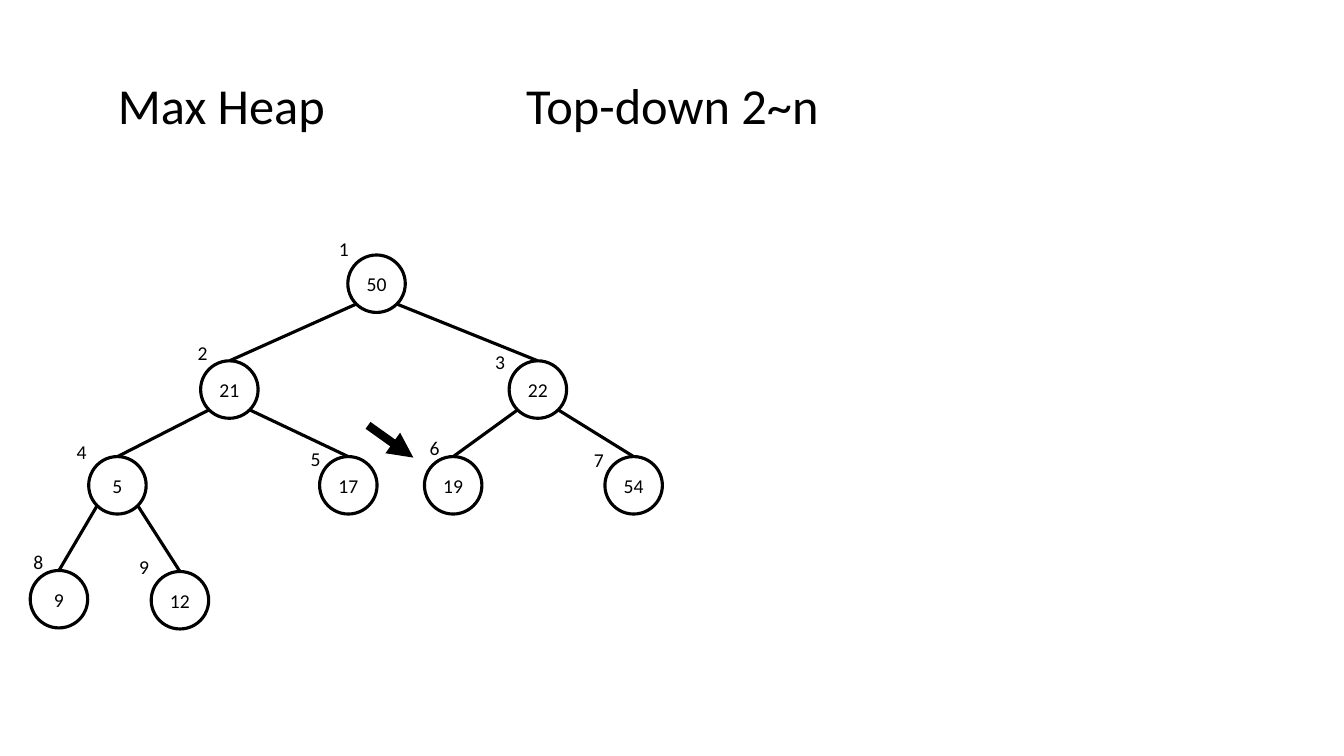
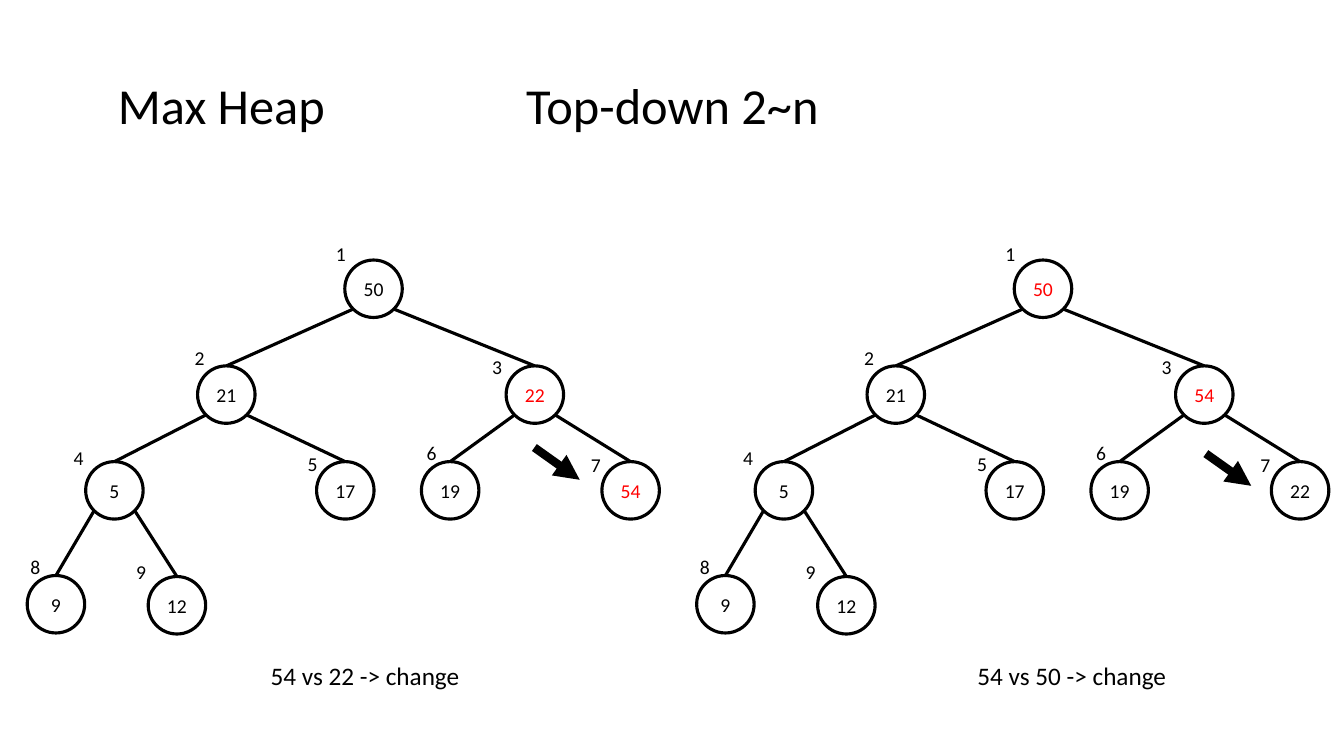
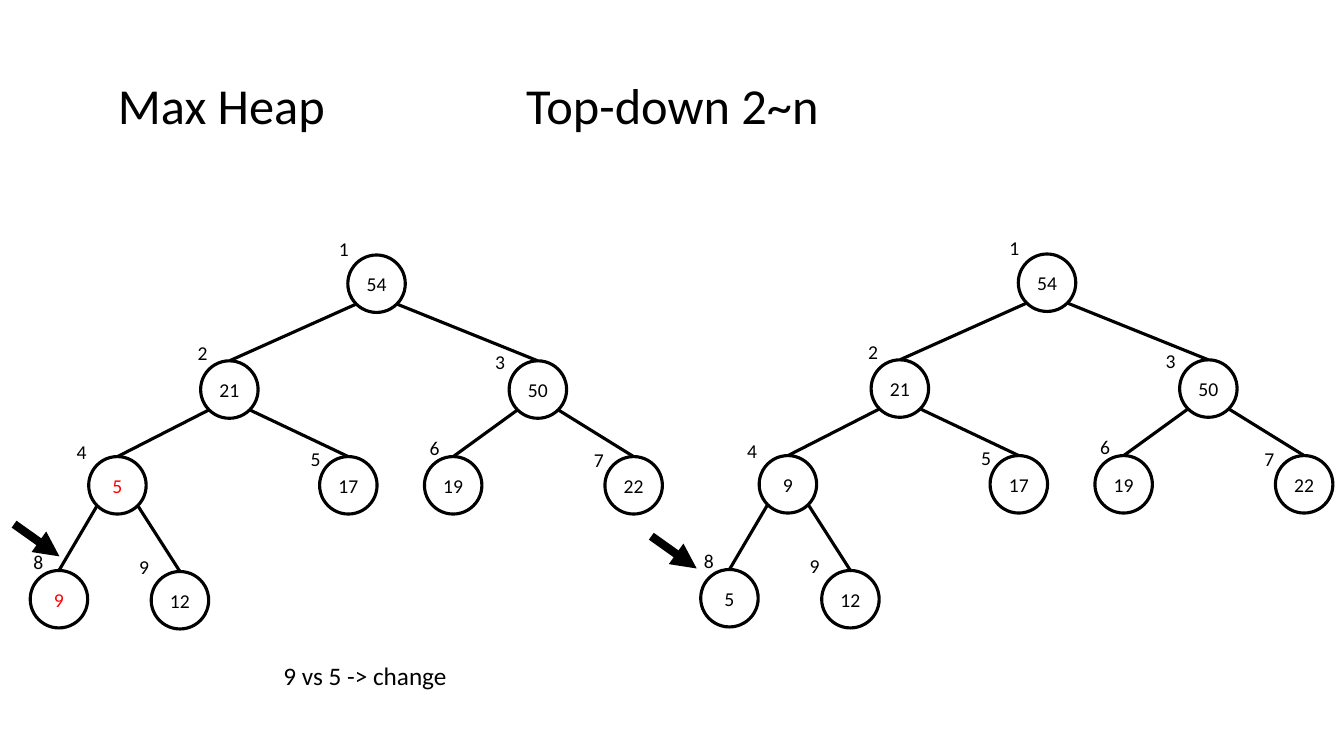
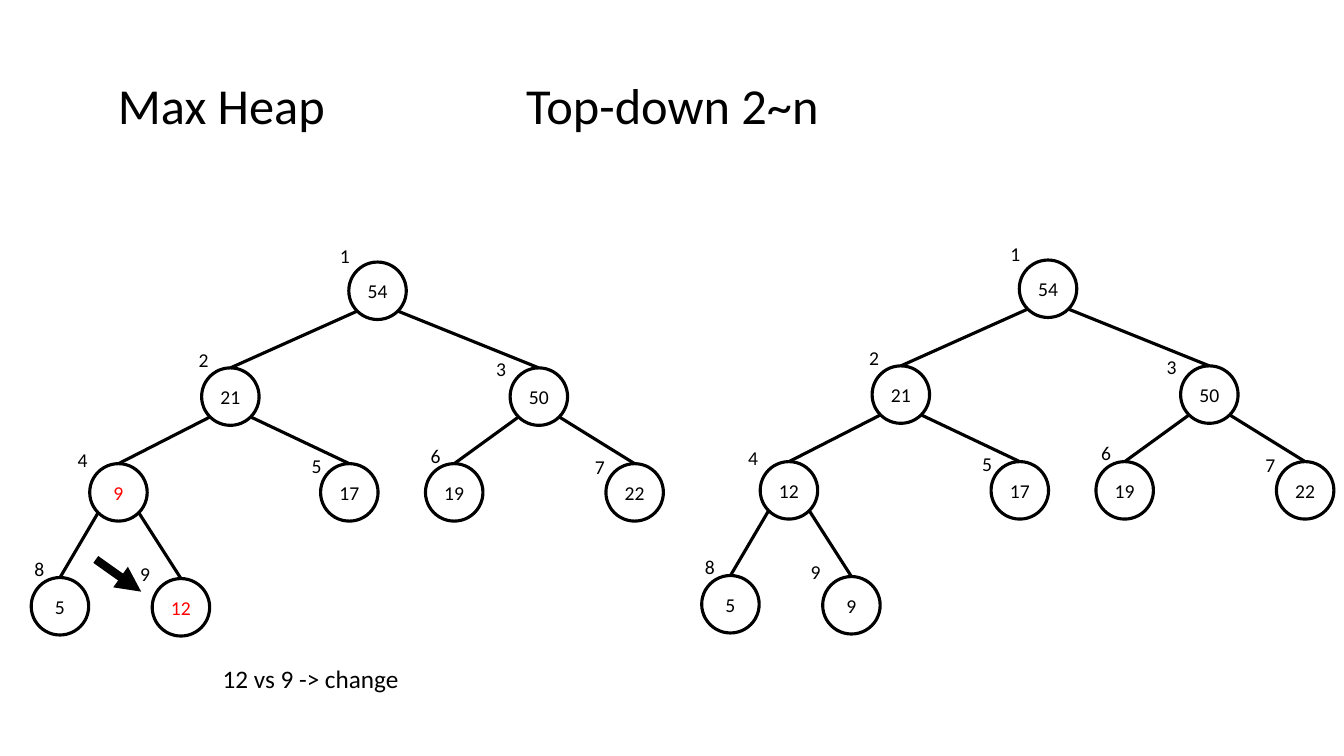
import math

from lxml import etree
from pptx import Presentation
from pptx import util as u
from pptx.dml.color import RGBColor
from pptx.enum import shapes, text
from pptx.oxml import ns

COLORS = {"ink": "000000", "changed": "FF0000"}
FONT = "Calibri"
BOX_FORMAT = {"word_wrap": True, "auto_size": text.MSO_AUTO_SIZE.SHAPE_TO_FIT_TEXT}
NODE_FORMAT = {"word_wrap": False, "vertical_anchor": text.MSO_ANCHOR.MIDDLE}

# Heap layout: index -> offset of the circle and of its label from the root circle
NODE_SIZE = 0.57
NODE_OFFSETS = {
    1: (0, 0), 2: (-1.46, 1.05), 3: (1.6, 1.05),
    4: (-2.57, 2), 5: (-0.28, 2), 6: (0.76, 2), 7: (2.55, 2),
    8: (-3.15, 3.13), 9: (-1.95, 3.14),
}
LABEL_OFFSETS = {
    1: (-0.33, -0.23), 2: (-1.73, 0.8), 3: (1.22, 0.89),
    4: (-2.93, 1.79), 5: (-0.61, 1.85), 6: (0.57, 1.75), 7: (2.2, 1.86),
    8: (-3.36, 2.88), 9: (-2.31, 2.93),
}
LABEL_SIZE = (0.58, 0.34)
ARROW_SIZE = (0.45, 0.32)

# Titles on every slide: words, box
TITLES = [("Max Heap", (0.5, 0.69, 3.39, 0.71)), ("Top-down 2~n", (3.51, 0.69, 6.32, 0.71))]

# Per slide: heaps (root corner, values, changed indexes), arrow starts, captions
SLIDES = [
    {
        "heaps": [((3.45, 2.53), [50, 21, 22, 5, 17, 19, 54, 9, 12], [])],
        "arrows": [(3.65, 4.22)],
        "captions": [],
    },
    {
        "heaps": [
            ((3.42, 2.58), [50, 21, 22, 5, 17, 19, 54, 9, 12], [3, 7]),
            ((10.06, 2.58), [50, 21, 54, 5, 17, 19, 22, 9, 12], [1, 3]),
        ],
        "arrows": [(5.3, 4.44), (11.96, 4.5)],
        "captions": [("54 vs 22 -> change", (2.26, 6.5)), ("54 vs 50 -> change", (9.27, 6.5))],
    },
    {
        "heaps": [
            ((3.45, 2.53), [54, 21, 50, 5, 17, 19, 22, 9, 12], [4, 8]),
            ((10.1, 2.52), [54, 21, 50, 9, 17, 19, 22, 5, 12], []),
        ],
        "arrows": [(0.14, 5.2), (6.46, 5.32)],
        "captions": [("9 vs 5 -> change", (2.26, 6.5))],
    },
    {
        "heaps": [
            ((3.46, 2.6), [54, 21, 50, 9, 17, 19, 22, 5, 12], [4, 9]),
            ((10.11, 2.58), [54, 21, 50, 12, 17, 19, 22, 5, 9], []),
        ],
        "arrows": [(0.95, 5.55)],
        "captions": [("12 vs 9 -> change", (1.72, 6.53))],
    },
]


def write_text(shape, words, size, color="ink", frame_format=BOX_FORMAT):
    """Put one centred line of text into a shape."""
    for name, value in frame_format.items():
        setattr(shape.text_frame, name, value)
    paragraph = shape.text_frame.paragraphs[0]
    paragraph.alignment = text.PP_ALIGN.CENTER
    run = paragraph.add_run()
    run.text = words
    for name, value in {"name": FONT, "size": u.Pt(size)}.items():
        setattr(run.font, name, value)
    run.font.color.rgb = RGBColor.from_string(COLORS[color])


def draw_line(parent, start, end, width):
    """Draw a straight line without shadow."""
    points = [u.Inches(value) for value in (*start, *end)]
    connector = parent.shapes.add_connector(shapes.MSO_CONNECTOR.STRAIGHT, *points)
    connector.line.width = u.Pt(width)
    connector.line.color.rgb = RGBColor.from_string(COLORS["ink"])
    etree.SubElement(connector._element.spPr, ns.qn("a:effectLst"))
    return connector


presentation = Presentation()
presentation.slide_width = u.Inches(13.33)
presentation.slide_height = u.Inches(7.5)

for content in SLIDES:
    slide = presentation.slides.add_slide(presentation.slide_layouts[6])

    # Titles
    for words, box in TITLES:
        write_text(slide.shapes.add_textbox(*map(u.Inches, box)), words, 36)

    # Heaps
    for (root_left, root_top), values, changed in content["heaps"]:
        heap = slide.shapes.add_group_shape()
        radius = NODE_SIZE / 2
        diagonal = radius * math.sqrt(0.5)
        centers = {
            index: (root_left + left + radius, root_top + top + radius)
            for index, (left, top) in NODE_OFFSETS.items()
        }
        for index, value in enumerate(values, start=1):
            x, y = centers[index]

            # Edge from the parent's lower left or right to the top of the child
            if index > 1:
                parent_x, parent_y = centers[index // 2]
                side = -1 if index % 2 == 0 else 1
                start = (parent_x + side * diagonal, parent_y + diagonal)
                draw_line(heap, start, (x, y - radius), 2.25)

            # Circle with the value
            box = (x - radius, y - radius, NODE_SIZE, NODE_SIZE)
            node = heap.shapes.add_shape(shapes.MSO_SHAPE.OVAL, *map(u.Inches, box))
            node.shadow.inherit = False
            node.fill.background()
            node.line.width = u.Pt(2.25)
            node.line.color.rgb = RGBColor.from_string(COLORS["ink"])
            color = "changed" if index in changed else "ink"
            write_text(node, str(value), 14, color, NODE_FORMAT)

            # Index label
            left, top = LABEL_OFFSETS[index]
            box = (root_left + left, root_top + top, *LABEL_SIZE)
            write_text(heap.shapes.add_textbox(*map(u.Inches, box)), str(index), 14)

    # Arrows to the node being inserted
    for left, top in content["arrows"]:
        arrow = draw_line(slide, (left, top), (left + ARROW_SIZE[0], top + ARROW_SIZE[1]), 6)
        etree.SubElement(arrow.line._get_or_add_ln(), ns.qn("a:tailEnd"), type="triangle")

    # Captions
    for words, (left, top) in content["captions"]:
        caption = slide.shapes.add_textbox(*map(u.Inches, (left, top, 2.72, 0.4)))
        write_text(caption, words, 18)

presentation.save("out.pptx")
